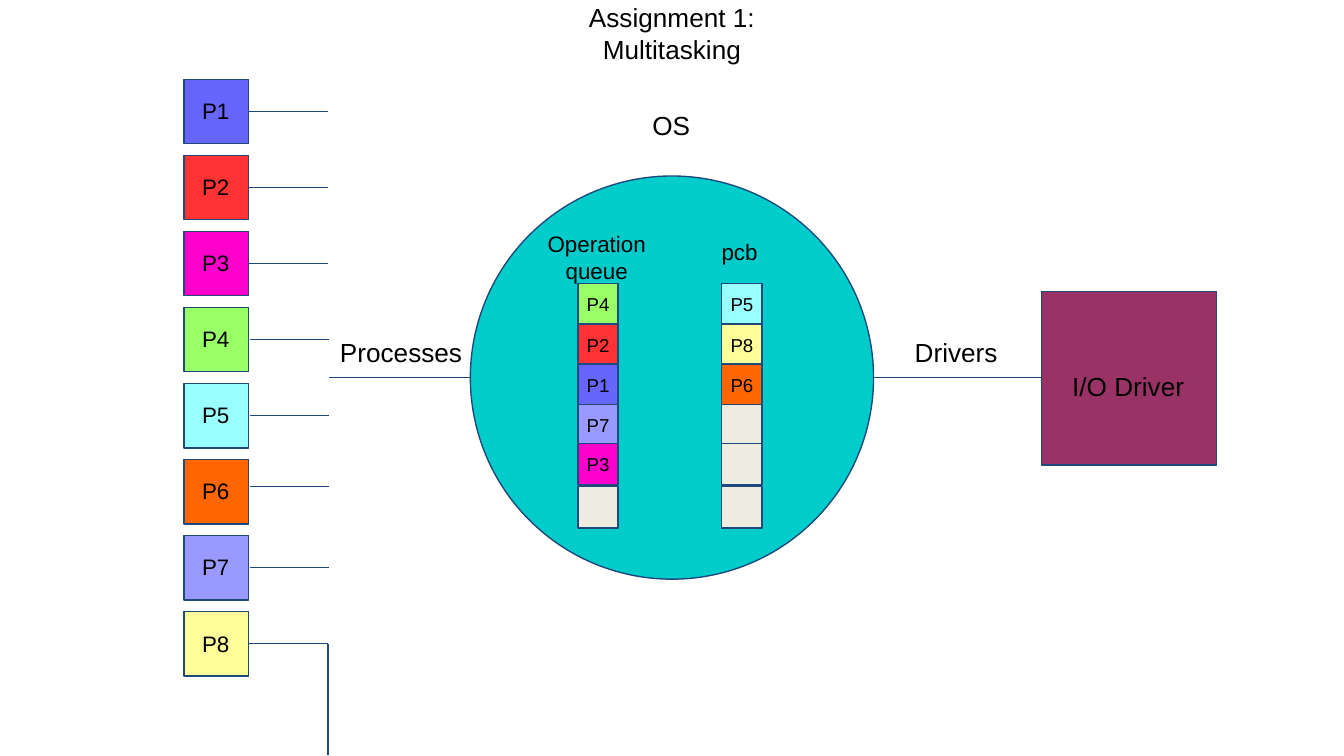
from lxml import etree
from pptx import Presentation
from pptx.dml.color import RGBColor
from pptx.enum.shapes import MSO_CONNECTOR as Connector, MSO_SHAPE as Shape
from pptx.enum.text import MSO_ANCHOR as Anchor, PP_ALIGN as Align
from pptx.oxml.ns import qn
from pptx.util import Inches, Pt

COLORS = {
    "P1": "6666FF", "P2": "FF3333", "P3": "FF00CC", "P4": "99FF66",
    "P5": "99FFFF", "P6": "FF6600", "P7": "9999FF", "P8": "FFFF99",
    "empty": "EEECE1", "os": "00CCCC", "driver": "993366",
    "line": "1F497D", "text": "000000",
}


class Diagram:
    font = "Arial"
    line_width = Pt(0.74)
    inset = Inches(0.1)

    def __init__(self, page):
        self.page = page

    def color(self, name):
        return RGBColor.from_string(COLORS[name])

    def outline(self, line):
        line.color.rgb = self.color("line")
        line.width = self.line_width

    def shape(self, kind, left, top, width, height, fill):
        shape = self.page.shapes.add_shape(
            kind, Inches(left), Inches(top), Inches(width), Inches(height))
        shape.shadow.inherit = False
        shape.fill.solid()
        shape.fill.fore_color.rgb = self.color(fill)
        self.outline(shape.line)

    def label(self, text, left, top, width, height, size=14,
              align=Align.CENTER, anchor=Anchor.MIDDLE):
        box = self.page.shapes.add_textbox(
            Inches(left), Inches(top), Inches(width), Inches(height))
        frame = box.text_frame
        frame.word_wrap = True
        frame.vertical_anchor = anchor
        frame.margin_left = frame.margin_right = self.inset
        frame.margin_top = frame.margin_bottom = self.inset
        for index, words in enumerate(text.split("\n")):
            para = frame.add_paragraph() if index else frame.paragraphs[0]
            para.alignment = align
            span = para.add_run()
            span.text = words
            span.font.name = self.font
            span.font.size = Pt(size)
            span.font.color.rgb = self.color("text")

    def line(self, x1, y1, x2, y2):
        line = self.page.shapes.add_connector(
            Connector.STRAIGHT, Inches(x1), Inches(y1), Inches(x2), Inches(y2))
        self.outline(line.line)
        properties = line._element.find(qn("p:spPr"))
        etree.SubElement(properties, qn("a:effectLst"))


# Widescreen page, 16 to 9
deck = Presentation()
deck.slide_width = Inches(10)
deck.slide_height = Inches(10) * 9 // 16
diagram = Diagram(deck.slides.add_slide(deck.slide_layouts[6]))

# Operating system and driver
diagram.shape(Shape.OVAL, 3.5, 1.31, 3, 3, "os")
diagram.shape(Shape.RECTANGLE, 7.75, 2.17, 1.3, 1.29, "driver")
diagram.label("Assignment 1: Multitasking", 3.97, 0.09, 2.06, 0.31)
diagram.label("OS", 4.63, 0.68, 0.73, 0.5)
diagram.label("I/O Driver", 7.81, 2.44, 1.17, 0.87)

# Queue and control block, each with six slots
SLOTS = [(2.11, 0.3), (2.41, 0.3), (2.71, 0.3),
         (3.01, 0.3), (3.3, 0.31), (3.62, 0.31)]
columns = {4.3: ["P4", "P2", "P1", "P7", "P3"], 5.37: ["P5", "P8", "P6"]}
for left, names in columns.items():
    for index, (top, height) in enumerate(SLOTS):
        name = names[index] if index < len(names) else None
        diagram.shape(Shape.RECTANGLE, left, top, 0.3, height, name or "empty")
        if name:
            diagram.label(name, left - 0.04, top + 0.02, 0.38, 0.27, size=10)
diagram.label("Operation\nqueue", 3.94, 1.61, 1, 0.57, size=12, anchor=Anchor.TOP)
diagram.label("pcb", 5.27, 1.67, 0.48, 0.37, size=12,
              align=Align.LEFT, anchor=Anchor.TOP)

# Processes with their wires
FIRST, LAST, SIDE = 0.59, 4.55, 0.48
for index in range(8):
    name = f"P{index + 1}"
    top = FIRST + index * (LAST - FIRST) / 7
    wire_y = 3.62 if name == "P6" else top + SIDE / 2
    wire_x = 1.86 if name in ("P4", "P5", "P6", "P7") else 1.85
    diagram.shape(Shape.RECTANGLE, 1.37, top, SIDE, SIDE, name)
    diagram.label(name, 1.4, top + 0.08, 0.41, 0.31, size=12)
    diagram.line(wire_x, wire_y, wire_x + 0.59, wire_y)
diagram.line(2.44, 5.62, 2.44, LAST + SIDE / 2)

# Links into and out of the operating system
for text, left, start, end in [("Processes", 2.4, 2.45, 3.5),
                               ("Drivers", 6.53, 6.5, 7.75)]:
    diagram.line(start, 2.81, end, 2.81)
    diagram.label(text, left, 2.53, 1.17, 0.18)

deck.save("out.pptx")
